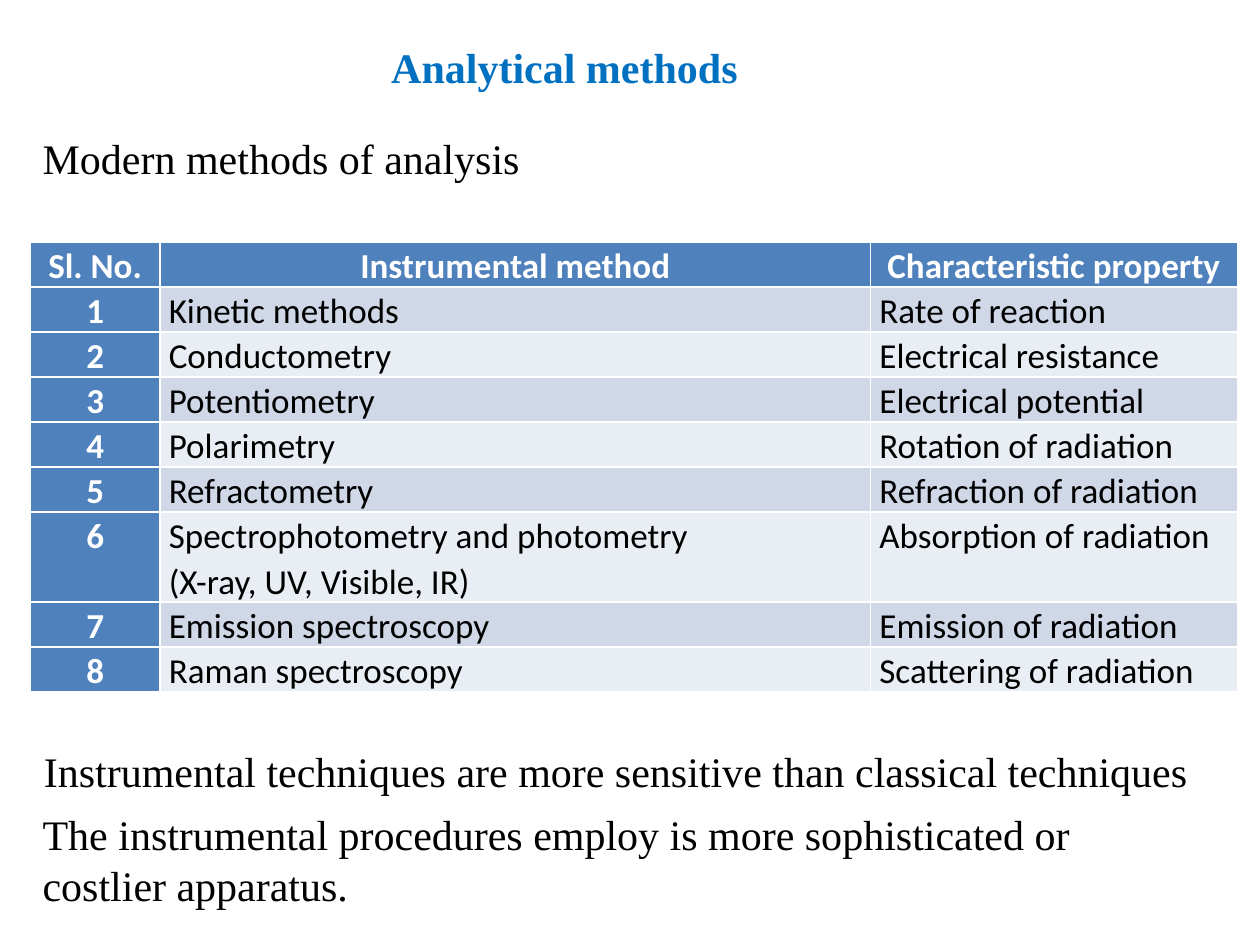
"""Build a slide listing modern instrumental methods of analysis."""
from dataclasses import dataclass

from pptx import Presentation
from pptx.dml.color import RGBColor
from pptx.enum.text import MSO_ANCHOR, MSO_AUTO_SIZE, PP_ALIGN
from pptx.util import Inches, Pt


@dataclass(frozen=True)
class Theme:
    title: RGBColor = RGBColor(0x00, 0x70, 0xC0)
    text: RGBColor = RGBColor(0x00, 0x00, 0x00)
    white: RGBColor = RGBColor(0xFF, 0xFF, 0xFF)
    header: RGBColor = RGBColor(0x4F, 0x81, 0xBD)
    dark_band: RGBColor = RGBColor(0xD0, 0xD8, 0xE8)
    light_band: RGBColor = RGBColor(0xE9, 0xED, 0xF4)
    body_font: str = "Times New Roman"
    table_font: str = "Calibri"
    body_size: int = 24
    table_size: int = 20


theme = Theme()


def format_runs(paragraph, font_name, size, color, bold=False):
    for run in paragraph.runs:
        run.font.name = font_name
        run.font.size = Pt(size)
        run.font.color.rgb = color
        run.font.bold = bold


presentation = Presentation()
presentation.slide_width = Inches(10)
presentation.slide_height = Inches(7.5)
slide = presentation.slides.add_slide(presentation.slide_layouts[5])

title = slide.shapes.title
title.left, title.top = Inches(2.99), Inches(0.25)
title.width, title.height = Inches(2.98), Inches(0.51)
title_frame = title.text_frame
title_frame.text = "Analytical methods"
title_frame.word_wrap = False
title_frame.auto_size = MSO_AUTO_SIZE.SHAPE_TO_FIT_TEXT
title_frame.vertical_anchor = MSO_ANCHOR.TOP
title_paragraph = title_frame.paragraphs[0]
title_paragraph.alignment = PP_ALIGN.CENTER
title_paragraph.line_spacing = 1.07
title_paragraph.space_after = Pt(8)
format_runs(title_paragraph, theme.body_font, theme.body_size, theme.title, True)

rows = [
    ("Sl. No.", "Instrumental method", "Characteristic property"),
    ("1", "Kinetic methods", "Rate of reaction"),
    ("2", "Conductometry", "Electrical resistance"),
    ("3", "Potentiometry", "Electrical potential"),
    ("4", "Polarimetry", "Rotation of radiation"),
    ("5", "Refractometry", "Refraction of radiation"),
    ("6", "Spectrophotometry and photometry\n(X-ray, UV, Visible, IR)", "Absorption of radiation"),
    ("7", "Emission spectroscopy", "Emission of radiation"),
    ("8", "Raman spectroscopy", "Scattering of radiation"),
]
column_widths = [1.03, 5.64, 2.91]
line_height = 0.357

table = slide.shapes.add_table(
    len(rows), len(column_widths), Inches(0.24), Inches(1.92), Inches(9.58), Inches(3.57)
).table
table.first_col = True
for column, width in zip(table.columns, column_widths):
    column.width = Inches(width)

for row_index, values in enumerate(rows):
    line_count = max(value.count("\n") + 1 for value in values)
    table.rows[row_index].height = Inches(line_height * line_count)
    band = theme.dark_band if row_index % 2 else theme.light_band
    for column_index, value in enumerate(values):
        heading = row_index == 0 or column_index == 0
        cell = table.cell(row_index, column_index)
        cell.margin_left = cell.margin_right = Inches(0.07)
        cell.margin_top = cell.margin_bottom = Inches(0)
        cell.fill.solid()
        cell.fill.fore_color.rgb = theme.header if heading else band
        cell.text_frame.text = value
        for paragraph in cell.text_frame.paragraphs:
            paragraph.alignment = PP_ALIGN.CENTER if heading else PP_ALIGN.JUSTIFY
            paragraph.line_spacing = 1.07
            color = theme.white if heading else theme.text
            format_runs(paragraph, theme.table_font, theme.table_size, color, heading)

statements = [
    ("Modern methods of analysis", 0.24, 1, 4.02, 0.5, False),
    ("Instrumental techniques are more sensitive than classical techniques",
     0.25, 5.87, 9.58, 0.5, True),
    ("The instrumental procedures employ is more sophisticated or costlier apparatus.",
     0.24, 6.37, 9.17, 0.91, True),
]
for text, left, top, width, height, wrap in statements:
    text_box = slide.shapes.add_textbox(Inches(left), Inches(top), Inches(width), Inches(height))
    text_frame = text_box.text_frame
    text_frame.text = text
    text_frame.word_wrap = wrap
    text_frame.auto_size = MSO_AUTO_SIZE.SHAPE_TO_FIT_TEXT
    format_runs(text_frame.paragraphs[0], theme.body_font, theme.body_size, theme.text)

presentation.save("out.pptx")
